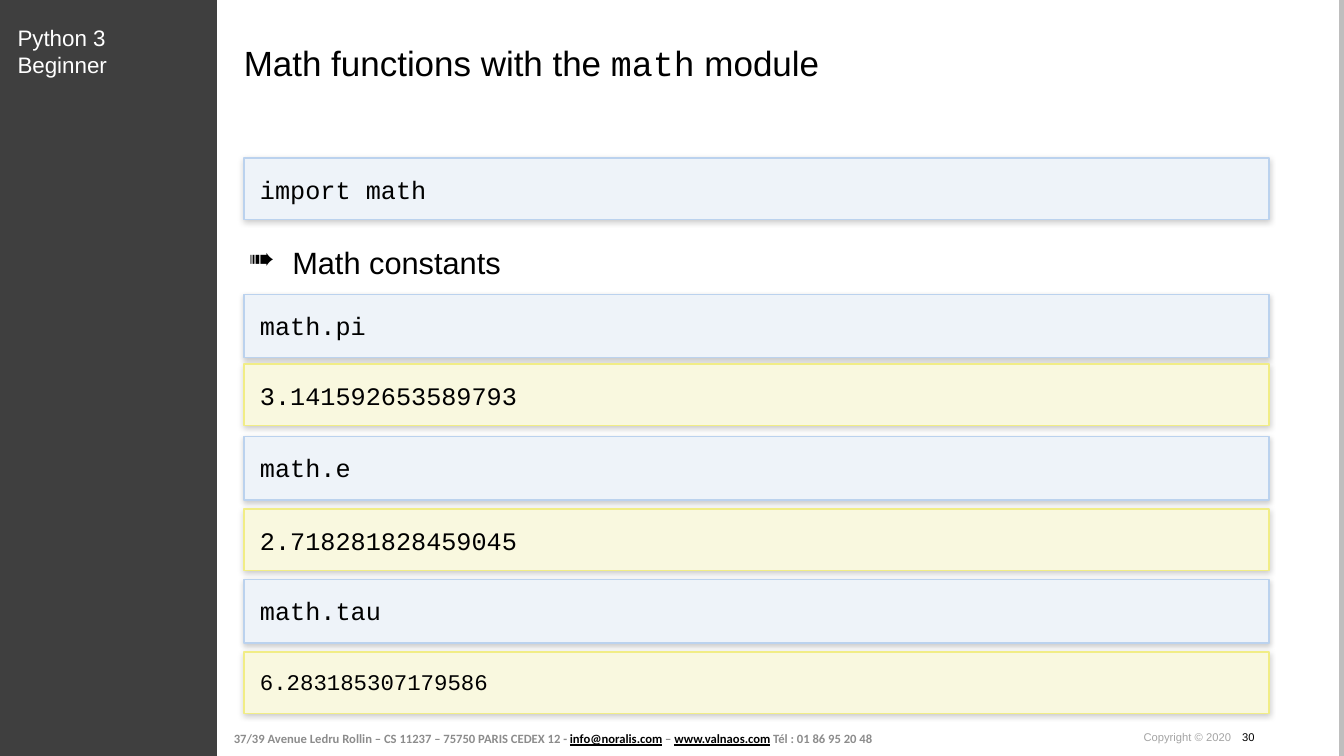
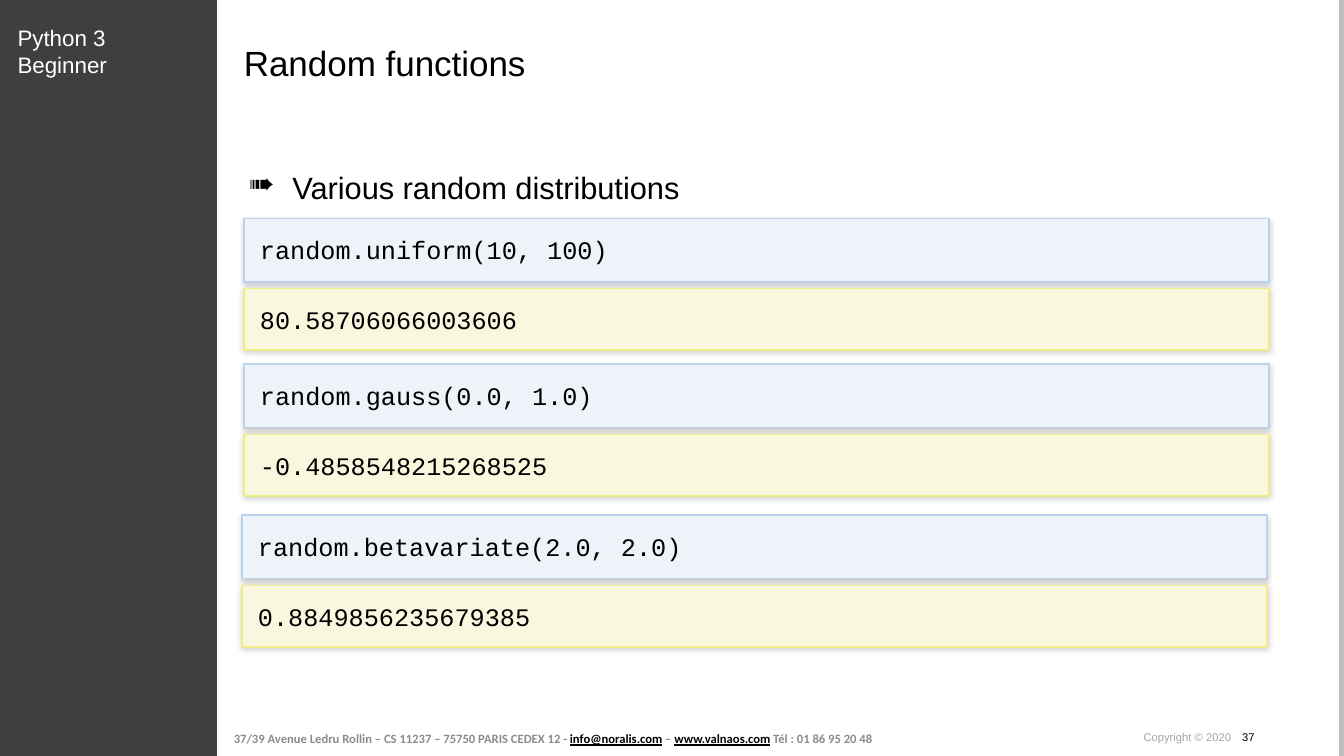
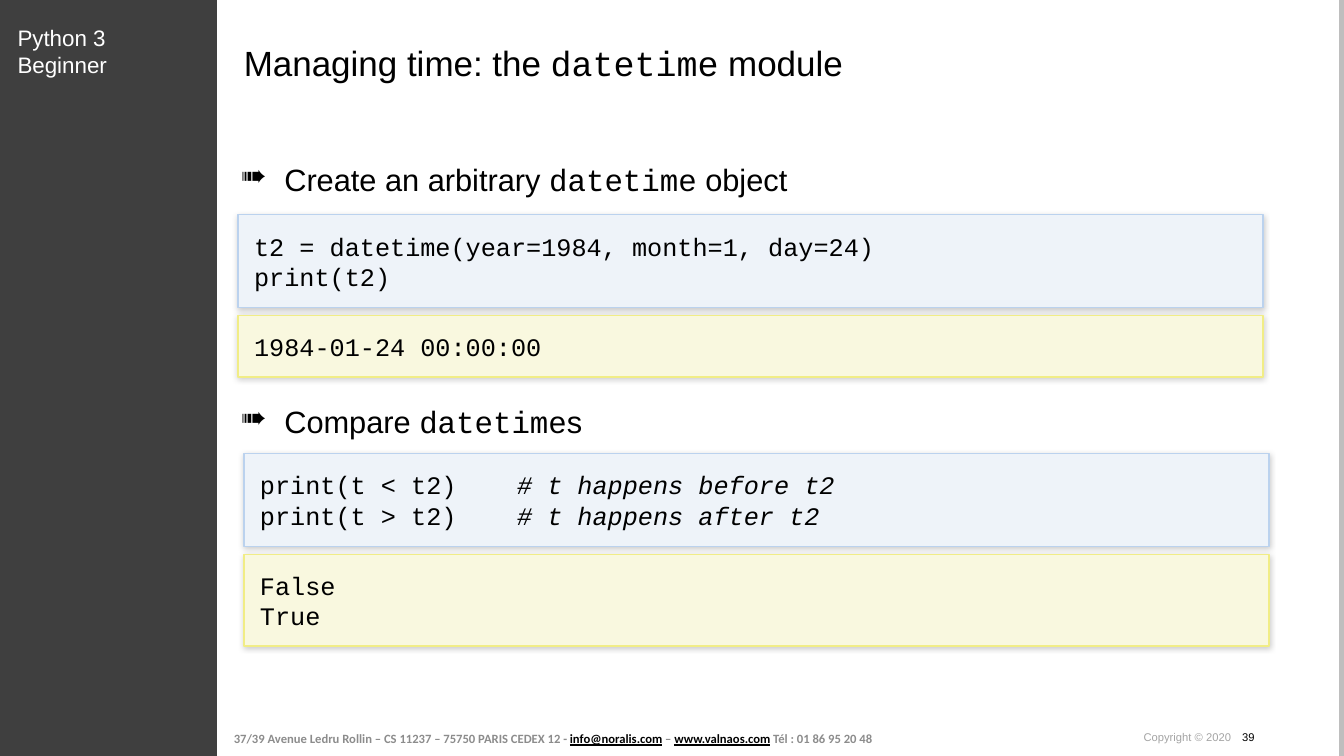
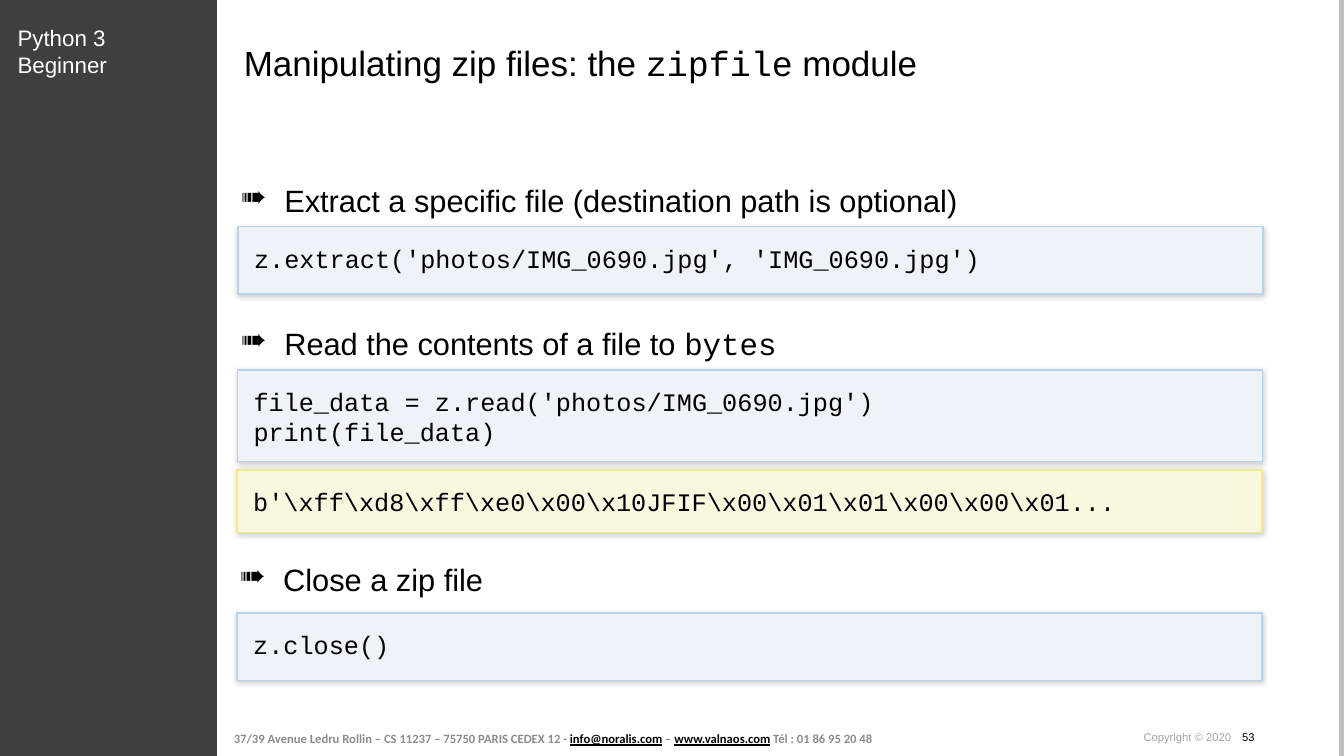
from lxml.etree import SubElement
from pptx import Presentation
from pptx.dml.color import RGBColor
from pptx.enum.shapes import MSO_CONNECTOR, MSO_SHAPE
from pptx.enum.text import MSO_ANCHOR, PP_ALIGN
from pptx.oxml.ns import qn
from pptx.util import Pt

BLACK, WHITE, DARK = "000000", "FFFFFF", "3F3F3F"
EDGE, GREY, PALE = "BEBEBE", "8C8C8C", "A4A4A4"
SANS, MONO = "Arial", "Courier New"
TINTS = {"code": ("EEF3F9", "BBD2EE"), "out": ("F9F8DF", "F1ED86")}
WIDE, HIGH = 960, 540


def rgb(code):
    return RGBColor.from_string(code)


def write(shape, text, inset=(0, 0, 0, 0), anchor=MSO_ANCHOR.TOP, bullet=None, tab=None, alt=None, **base):
    frame = shape.text_frame
    frame.word_wrap = True
    frame.vertical_anchor = anchor
    frame.margin_left, frame.margin_top, frame.margin_right, frame.margin_bottom = map(Pt, inset)
    for row, line in enumerate(text.split("\n")):
        para = frame.add_paragraph() if row else frame.paragraphs[0]
        para.alignment = PP_ALIGN.LEFT
        props = para._p.get_or_add_pPr()
        if bullet:
            props.set("marL", str(Pt(161.3)))
            props.set("indent", str(Pt(-31)))
            SubElement(props, qn("a:buChar"), char=bullet)
        if tab:
            stops = SubElement(props, qn("a:tabLst"))
            SubElement(stops, qn("a:tab"), pos=str(Pt(tab)), algn="l")
        for spot, piece in enumerate(line.split("`")):
            if not piece:
                continue
            style = {"font": SANS, "color": BLACK, **base}
            if spot % 2:
                style.update(alt)
            run = para.add_run()
            run.text = piece
            font = run.font
            font.name = style["font"]
            font.size = Pt(style["size"])
            font.color.rgb = rgb(style["color"])
            font.bold = style.get("bold", False)
            font.italic = style.get("italic", False)
            font.underline = style.get("under", False)


SLIDES = [
    (30, "Math functions with the `math` module", [
        ("code", 174.2, 113, 44, "import math"),
        ("head", 47.5, 174.2, 26.4, "Math constants"),
        ("code", 174.2, 210.2, 45.4, "math.pi"),
        ("out", 174.2, 260, 44, "3.141592653589793"),
        ("code", 174.2, 311.8, 45.4, "math.e"),
        ("out", 174.2, 363.6, 44, "2.718281828459045"),
        ("code", 174.2, 414, 45.4, "math.tau"),
        ("small", 174.2, 465.8, 44, "6.283185307179586"),
    ]),
    (37, "Random functions", [
        ("head", 47.5, 120.2, 26.4, "Various random distributions"),
        ("code", 174.2, 156.2, 45.4, "random.uniform(10, 100)"),
        ("out", 174.2, 206, 44, "80.58706066003606"),
        ("code", 174.2, 260, 45.4, "random.gauss(0.0, 1.0)"),
        ("out", 174.2, 310.3, 44, "-0.4858548215268525"),
        ("code", 172.8, 368, 45.4, "random.betavariate(2.0, 2.0)"),
        ("out", 172.8, 418.3, 44, "0.8849856235679385"),
    ]),
    (39, "Managing time: the `datetime` module", [
        ("head", 41.8, 114.5, 26.4, "Create an arbitrary `datetime` object"),
        ("code", 170, 153.4, 66.2, "t2 = datetime(year=1984, month=1, day=24)\nprint(t2)"),
        ("out", 170, 225.4, 44, "1984-01-24 00:00:00"),
        ("head", 41.8, 288, 26.4, "Compare `datetime`s"),
        ("code", 174.2, 324, 66.2,
         "print(t < t2)    `# t happens before t2`\nprint(t > t2)    `# t happens after t2`"),
        ("out", 174.2, 396, 65.5, "False\nTrue"),
    ]),
    (53, "Manipulating zip files: the `zipfile` module", [
        ("head", 41.8, 129.6, 26.4, "Extract a specific file (destination path is optional)"),
        ("code", 170, 162, 48.2, "z.extract('photos/IMG_0690.jpg', 'IMG_0690.jpg')"),
        ("head", 41.8, 231.8, 26.4, "Read the contents of a file to `bytes`"),
        ("code", 169.6, 264.2, 65.5, "file_data = z.read('photos/IMG_0690.jpg')\nprint(file_data)"),
        ("out", 169.4, 335.6, 44.6, r"b'\xff\xd8\xff\xe0\x00\x10JFIF\x00\x01\x01\x00\x00\x01..."),
        ("head", 41, 400.3, 26.4, "Close a zip file"),
        ("code", 169.4, 437.8, 48.2, "z.close()"),
    ]),
]

deck = Presentation()
deck.slide_width, deck.slide_height = Pt(WIDE), Pt(HIGH)

for page, title, rows in SLIDES:
    shapes = deck.slides.add_slide(deck.slide_layouts[6]).shapes

    edge = shapes.add_connector(MSO_CONNECTOR.STRAIGHT, Pt(958.3), 0, Pt(958.3), Pt(HIGH))
    edge.line.color.rgb = rgb(EDGE)
    edge.line.width = Pt(3.34)
    SubElement(edge._element.spPr, qn("a:effectLst"))

    band = shapes.add_shape(MSO_SHAPE.RECTANGLE, 0, 0, Pt(155), Pt(HIGH))
    band.shadow.inherit = False
    band.fill.solid()
    band.fill.fore_color.rgb = rgb(DARK)
    band.line.fill.background()

    foot = shapes.add_textbox(Pt(162), Pt(516.2), Pt(481), Pt(23))
    write(foot, "37/39 Avenue Ledru Rollin – CS 11237 – 75750 PARIS CEDEX 12 - "
          "`info@noralis.com` – `www.valnaos.com` Tél : 01 86 95 20 48",
          inset=(5, 3, 5, 3), anchor=MSO_ANCHOR.MIDDLE, size=9, font="Calibri",
          color=GREY, bold=True, alt={"color": BLACK, "under": True})

    head = shapes.add_textbox(Pt(174.2), Pt(29.5), Pt(724.3), Pt(30.2))
    write(head, title, size=25, alt={"font": MONO})

    rights = shapes.add_textbox(Pt(815.8), Pt(522), Pt(123.8), Pt(9.4))
    write(rights, f"Copyright © 2020\t`{page}`", inset=(1, 0, 0, 0), tab=70.5,
          size=8, color=PALE, alt={"color": BLACK})

    course = shapes.add_textbox(Pt(11.5), Pt(17.3), Pt(130.3), Pt(38.9))
    write(course, "Python 3 Beginner", inset=(1, 0, 20, 0), size=16, color=WHITE)

    for kind, left, top, high, text in rows:
        if kind == "head":
            point = shapes.add_textbox(Pt(left), Pt(top), Pt(851), Pt(high))
            write(point, text, bullet="➠", size=22, alt={"font": MONO})
            continue
        fill, line = TINTS["code" if kind == "code" else "out"]
        box = shapes.add_shape(MSO_SHAPE.RECTANGLE, Pt(left), Pt(top), Pt(732.2), Pt(high))
        box.shadow.inherit = False
        box.fill.solid()
        box.fill.fore_color.rgb = rgb(fill)
        box.line.color.rgb = rgb(line)
        box.line.width = Pt(1)
        glow = SubElement(box._element.spPr.find(qn("a:effectLst")), qn("a:outerShdw"),
                          blurRad=str(Pt(4)), dist=str(Pt(1)), dir="5400000", rotWithShape="0")
        tone = SubElement(glow, qn("a:srgbClr"), val=BLACK)
        SubElement(tone, qn("a:alpha"), val="20000")
        write(box, text, inset=(11.5,) * 4, size=16 if kind == "small" else 18,
              font=MONO, alt={"italic": True})

deck.save("out.pptx")
